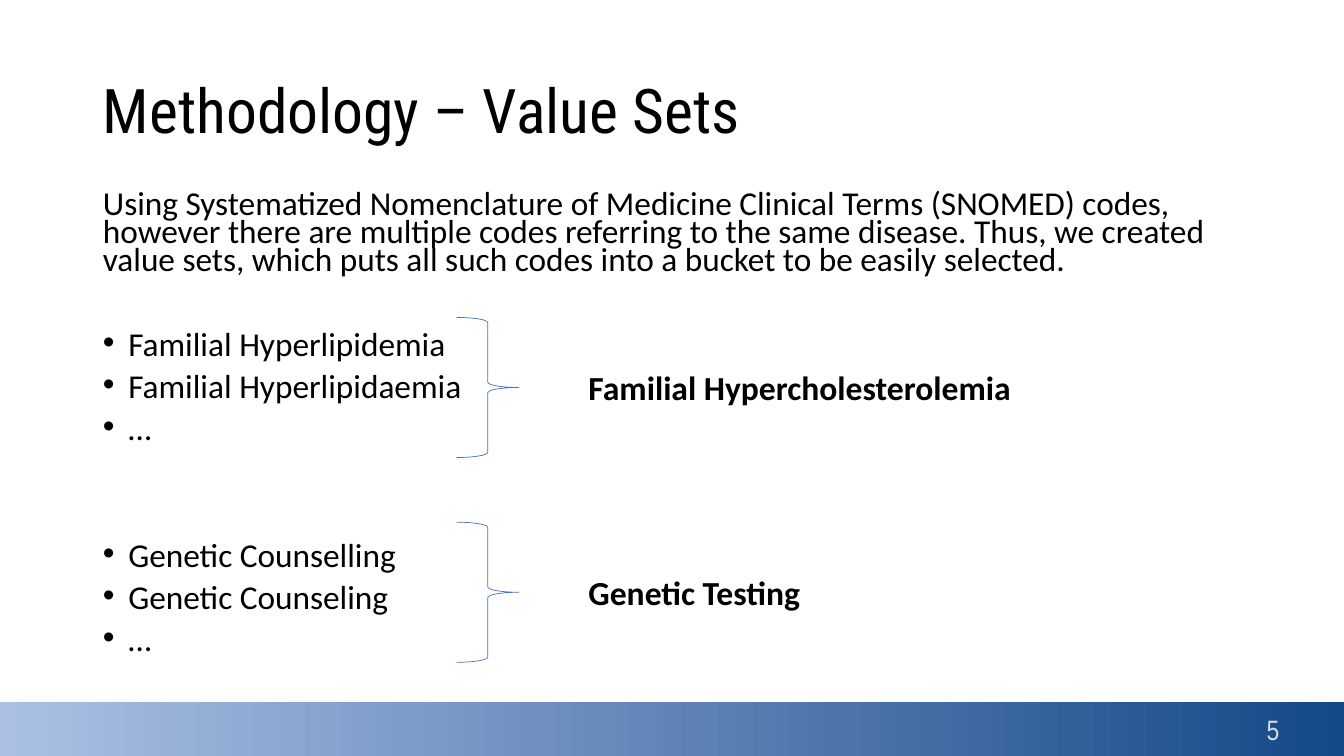
import dataclasses

import lxml.etree
import pptx
import pptx.dml.color
import pptx.enum.shapes
import pptx.enum.text
import pptx.oxml.ns
import pptx.util

Cm = pptx.util.Cm
Pt = pptx.util.Pt
ALIGN = pptx.enum.text.PP_ALIGN
ANCHOR = pptx.enum.text.MSO_ANCHOR
SHAPE = pptx.enum.shapes.MSO_SHAPE


@dataclasses.dataclass(frozen=True)
class Theme:
    title_font: str = "Roboto Condensed"
    body_font: str = "Calibri"
    number_font: str = "Arial Narrow"
    title_size: float = 44
    body_size: float = 23.8
    label_size: float = 24
    number_size: float = 20
    text: str = "000000"
    number: str = "D9D9D9"
    brace: str = "4472C4"
    bar_start: str = "ABC0E4"
    bar_end: str = "154889"


def rgb(value):
    return pptx.dml.color.RGBColor.from_string(value)


def write(paragraph, text, *, font, size, color, bold=False,
          align=ALIGN.LEFT, line_spacing=None, space_before=0):
    paragraph.alignment = align
    paragraph.space_before = Pt(space_before)
    if line_spacing:
        paragraph.line_spacing = line_spacing
    run = paragraph.add_run()
    run.text = text
    run.font.name = font
    run.font.size = Pt(size)
    run.font.bold = bold
    run.font.color.rgb = rgb(color)


def set_bullet(paragraph, character=None, indent=0):
    properties = paragraph._p.get_or_add_pPr()
    properties.set("marL", str(Cm(indent)))
    properties.set("indent", str(-Cm(indent)))
    tag = "a:buChar" if character else "a:buNone"
    bullet = lxml.etree.SubElement(properties, pptx.oxml.ns.qn(tag))
    if character:
        bullet.set("char", character)


class SlideBuilder:
    def __init__(self, slide, theme):
        self.slide = slide
        self.theme = theme

    def place(self, shape, left, top, width, height, anchor):
        shape.left, shape.top = Cm(left), Cm(top)
        shape.width, shape.height = Cm(width), Cm(height)
        frame = shape.text_frame
        frame.word_wrap = True
        frame.auto_size = pptx.enum.text.MSO_AUTO_SIZE.NONE
        frame.vertical_anchor = anchor
        return frame

    def title(self, text, *box):
        frame = self.place(self.slide.shapes.title, *box, ANCHOR.MIDDLE)
        write(frame.paragraphs[0], text, font=self.theme.title_font,
              size=self.theme.title_size, color=self.theme.text, line_spacing=0.9)

    def body(self, introduction, groups, *box):
        frame = self.place(self.slide.placeholders[1], *box, ANCHOR.TOP)
        style = dict(font=self.theme.body_font, size=self.theme.body_size,
                     color=self.theme.text, line_spacing=0.7)
        paragraph = frame.paragraphs[0]
        write(paragraph, introduction, space_before=10, **style)
        set_bullet(paragraph)
        for gap, items in groups:
            for index, item in enumerate(items):
                paragraph = frame.add_paragraph()
                write(paragraph, item, space_before=10 if index else gap, **style)
                set_bullet(paragraph, "•", 0.64)

    def shape(self, kind, left, top, width, height):
        shape = self.slide.shapes.add_shape(
            kind, Cm(left), Cm(top), Cm(width), Cm(height))
        shape.shadow.inherit = False
        return shape

    def bar(self, *box):
        bar = self.shape(SHAPE.RECTANGLE, *box)
        bar.line.fill.background()
        bar.fill.gradient()
        bar.fill.gradient_angle = 0
        colors = (self.theme.bar_start, self.theme.bar_end)
        for stop, color, position in zip(bar.fill.gradient_stops, colors, (0, 1)):
            stop.color.rgb = rgb(color)
            stop.position = position

    def brace(self, *box):
        brace = self.shape(SHAPE.RIGHT_BRACE, *box)
        brace.fill.background()
        brace.line.color.rgb = rgb(self.theme.brace)
        brace.line.width = Pt(0.5)

    def text_box(self, text, left, top, width, height, wrap=True,
                 anchor=ANCHOR.TOP, **style):
        box = self.slide.shapes.add_textbox(Cm(left), Cm(top), Cm(width), Cm(height))
        box.text_frame.word_wrap = wrap
        box.text_frame.vertical_anchor = anchor
        write(box.text_frame.paragraphs[0], text, **style)

    def label(self, text, *box):
        self.text_box(text, *box, wrap=False, font=self.theme.body_font,
                      size=self.theme.label_size, color=self.theme.text, bold=True)

    def page_number(self, text, *box):
        self.text_box(text, *box, anchor=ANCHOR.MIDDLE, align=ALIGN.RIGHT,
                      font=self.theme.number_font, size=self.theme.number_size,
                      color=self.theme.number)


def main():
    presentation = pptx.Presentation()
    presentation.slide_width = Cm(33.87)
    presentation.slide_height = Cm(19.05)
    slide = presentation.slides.add_slide(presentation.slide_layouts[1])
    builder = SlideBuilder(slide, Theme())

    builder.bar(0, 17.68, 33.87, 1.37)
    builder.page_number("5", 24.87, 17.86, 7.62, 1.02)
    builder.title("Methodology – Value Sets", 2.34, 1.02, 29.21, 3.68)
    builder.body(
        "Using Systematized Nomenclature of Medicine Clinical Terms (SNOMED) codes, "
        "however there are multiple codes referring to the same disease. Thus, we "
        "created value sets, which puts all such codes into a bucket to be easily "
        "selected.",
        [(40.3, ["Familial Hyperlipidemia", "Familial Hyperlipidaemia", "…"]),
         (70.6, ["Genetic Counselling", "Genetic Counseling", "…"])],
        2.34, 4.75, 29.21, 12.09)

    value_sets = [("Familial Hypercholesterolemia", 8, 11.25),
                  ("Genetic Testing", 13.16, 6.1)]
    for name, top, width in value_sets:
        builder.brace(11.51, top, 1.57, 3.53)
        builder.label(name, 14.58, top + 1.12, width, 1.27)

    presentation.save("out.pptx")


if __name__ == "__main__":
    main()
